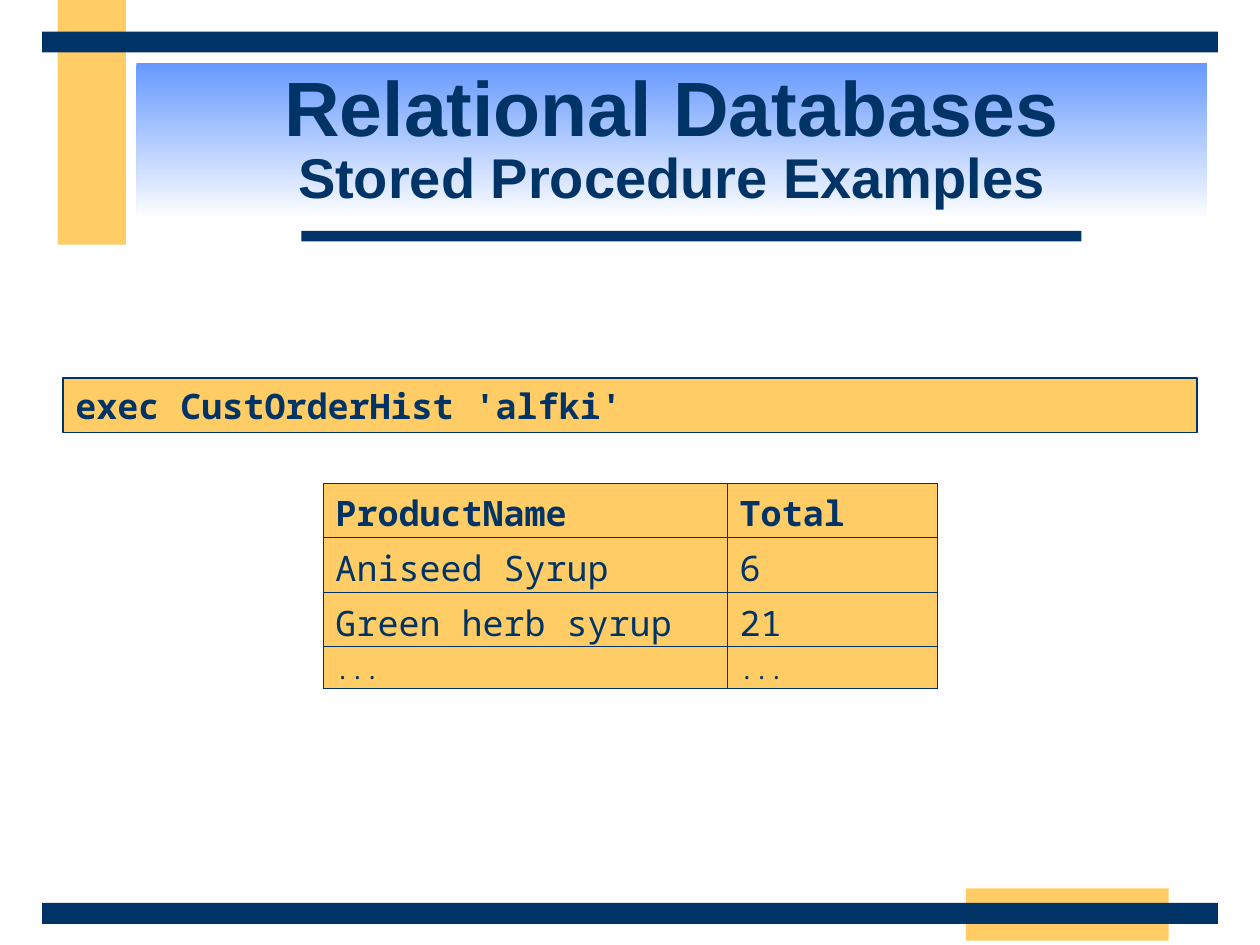
"""Build the stored procedure slide on a grid of 120 columns by 90 rows."""
from dataclasses import dataclass

from lxml.etree import SubElement
from pptx import Presentation
from pptx.dml.color import RGBColor
from pptx.enum.shapes import MSO_SHAPE
from pptx.enum.text import MSO_ANCHOR, PP_ALIGN
from pptx.oxml.ns import qn
from pptx.util import Inches, Pt


@dataclass(frozen=True)
class Theme:
    navy: RGBColor = RGBColor.from_string("003366")
    gold: RGBColor = RGBColor.from_string("FFCC66")
    blue: RGBColor = RGBColor.from_string("6699FF")
    white: RGBColor = RGBColor.from_string("FFFFFF")
    title_font: str = "Arial"
    code_font: str = "Noto Sans Mono"
    title_size: int = 44
    subtitle_size: int = 32
    code_size: int = 20
    small_size: int = 14
    frame_line: float = 1
    table_line: float = 0.45


THEME = Theme()
BARS = [
    (5.5, 0, 6.5, 23.3, THEME.gold),
    (92, 84.6, 19.3, 5, THEME.gold),
    (28.7, 22, 74.3, 1, THEME.navy),
    (4, 86, 112, 2, THEME.navy),
    (4, 3, 112, 2, THEME.navy),
]
ORDER_HISTORY = [
    ("ProductName", "Total"),
    ("Aniseed Syrup", "6"),
    ("Green herb syrup", "21"),
    ("...", "..."),
]


def grid(*units):
    return [Inches(unit / 12) for unit in units]


def add_box(slide, left, top, width, height, color=None):
    shape = slide.shapes.add_shape(MSO_SHAPE.RECTANGLE, *grid(left, top, width, height))
    shape.shadow.inherit = False
    shape.line.fill.background()
    if color is not None:
        shape.fill.solid()
        shape.fill.fore_color.rgb = color
    return shape


def style_font(font, name, size, bold=True):
    font.name, font.size, font.bold = name, Pt(size), bold
    font.color.rgb = THEME.navy


def add_title(slide, title, subtitle):
    shape = add_box(slide, 13, 6, 102, 15)
    shape.fill.gradient()
    shape.fill.gradient_angle = 270
    for stop, color in zip(shape.fill.gradient_stops, (THEME.blue, THEME.white)):
        stop.color.rgb = color
    shape.text_frame.vertical_anchor = MSO_ANCHOR.MIDDLE
    paragraph = shape.text_frame.paragraphs[0]
    paragraph.alignment = PP_ALIGN.CENTER
    paragraph.line_spacing = 0.85
    title_run = paragraph.add_run()
    title_run.text = title
    style_font(title_run.font, THEME.title_font, THEME.title_size)
    paragraph.add_line_break()
    subtitle_run = paragraph.add_run()
    subtitle_run.text = subtitle
    style_font(subtitle_run.font, THEME.title_font, THEME.subtitle_size)


def add_code(slide, code):
    shape = add_box(slide, 6, 36, 108, 5.2, THEME.gold)
    shape.line.color.rgb = THEME.navy
    shape.line.width = Pt(THEME.frame_line)
    shape.text_frame.word_wrap = True
    shape.text_frame.vertical_anchor = MSO_ANCHOR.TOP
    paragraph = shape.text_frame.paragraphs[0]
    paragraph.text = code
    paragraph.alignment = PP_ALIGN.LEFT
    style_font(paragraph.font, THEME.code_font, THEME.code_size)


def add_borders(cell):
    properties = cell._tc.get_or_add_tcPr()
    for side in ("a:lnL", "a:lnR", "a:lnT", "a:lnB"):
        line = SubElement(properties, qn(side), w=str(int(Pt(THEME.table_line))))
        fill = SubElement(line, qn("a:solidFill"))
        SubElement(fill, qn("a:srgbClr"), val=str(THEME.navy))


def fill_cell(cell, text, size, bold):
    add_borders(cell)
    cell.fill.solid()
    cell.fill.fore_color.rgb = THEME.gold
    cell.margin_bottom = 0
    paragraph = cell.text_frame.paragraphs[0]
    paragraph.text = text
    style_font(paragraph.font, THEME.code_font, size, bold)


def add_history_table(slide, records):
    widths, heights = grid(38.5, 20), grid(5.2, 5.2, 5.2, 4)
    left, top = grid(30.75, 46)
    table = slide.shapes.add_table(
        len(records), len(widths), left, top, sum(widths), sum(heights)
    ).table
    for column, width in zip(table.columns, widths):
        column.width = width
    for index, (record, height) in enumerate(zip(records, heights)):
        table.rows[index].height = height
        size = THEME.small_size if index == len(records) - 1 else THEME.code_size
        for cell, text in zip(table.rows[index].cells, record):
            fill_cell(cell, text, size, bold=index == 0)


def main():
    presentation = Presentation()
    presentation.slide_width, presentation.slide_height = grid(120, 90)
    slide = presentation.slides.add_slide(presentation.slide_layouts[6])
    for bar in BARS:
        add_box(slide, *bar)
    add_title(slide, "Relational Databases", "Stored Procedure Examples")
    add_code(slide, "exec CustOrderHist 'alfki'")
    add_history_table(slide, ORDER_HISTORY)
    presentation.save("out.pptx")


if __name__ == "__main__":
    main()
